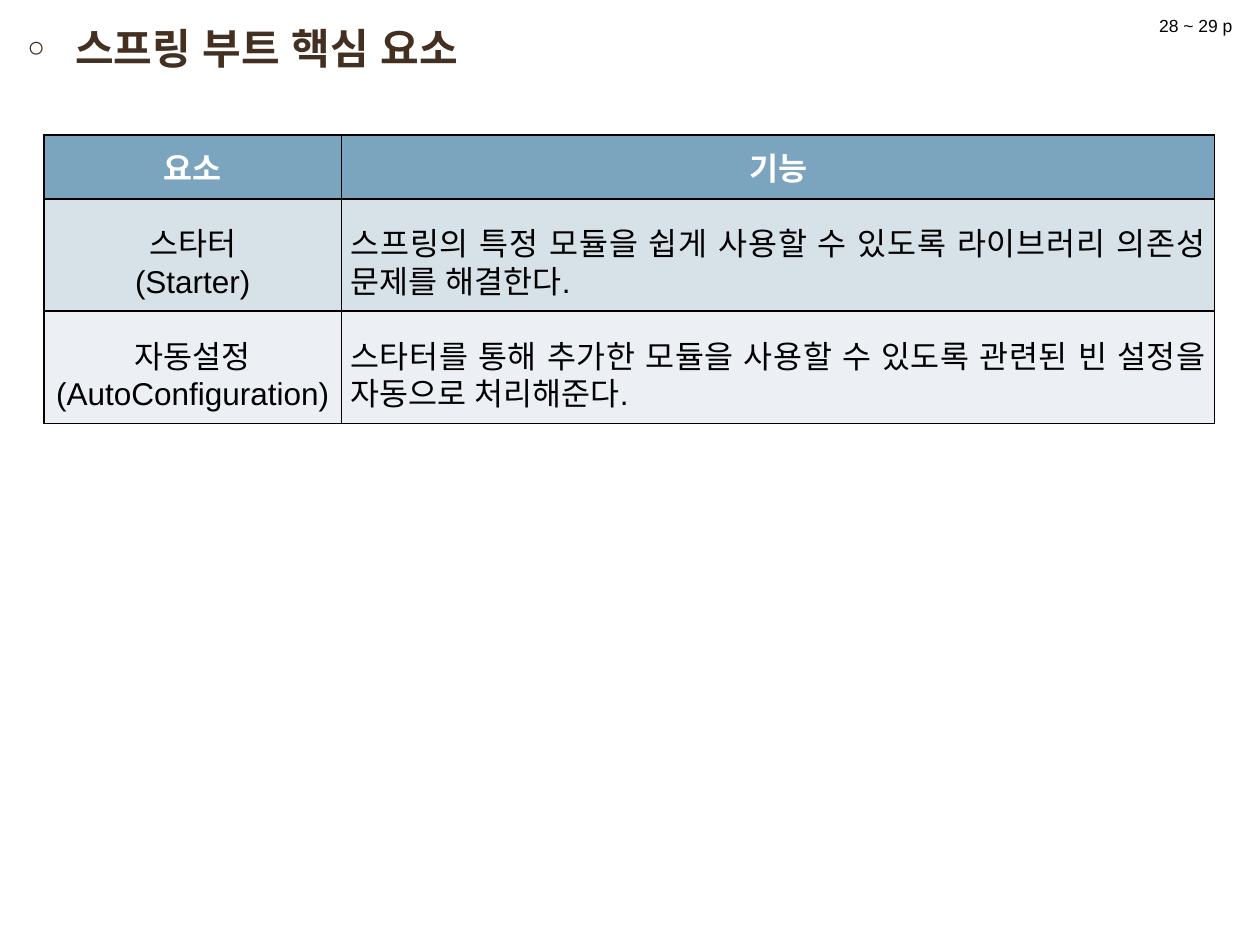
from lxml.etree import SubElement
from pptx import Presentation
from pptx.dml.color import RGBColor
from pptx.enum.shapes import MSO_SHAPE as Shape
from pptx.enum.text import MSO_ANCHOR as Anchor, PP_ALIGN as Align
from pptx.oxml import parse_xml
from pptx.oxml.ns import nsdecls, qn
from pptx.util import Inches, Pt

COLORS = {
    "white": "FFFFFF",
    "black": "000000",
    "title": "433021",
    "header": "7BA5BE",
    "odd_row": "D7E1E8",
    "even_row": "ECF0F4",
}
FONT = "Arial"
COLUMN_WIDTHS = (2.36, 6.93)
ROW_HEIGHTS = (0.51, 0.89, 0.89)
ROW_FILLS = ("header", "odd_row", "even_row")
ELEMENTS = (
    ("요소", "기능"),
    ("스타터\n(Starter)",
     "스프링의 특정 모듈을 쉽게 사용할 수 있도록 라이브러리 의존성 문제를 해결한다."),
    ("자동설정\n(AutoConfiguration)",
     "스타터를 통해 추가한 모듈을 사용할 수 있도록 관련된 빈 설정을 자동으로 처리해준다."),
)


def rgb(name):
    return RGBColor.from_string(COLORS[name])


def write(frame, text, size=18, color="black", bold=False, align=Align.LEFT,
          line_spacing=None, space_before=None, hanging=None, bullet=None):
    for index, line in enumerate(text.split("\n")):
        paragraph = frame.add_paragraph() if index else frame.paragraphs[0]
        paragraph.alignment = align
        paragraph.line_spacing = line_spacing
        paragraph.space_before = space_before
        run = paragraph.add_run()
        run.text = line
        run.font.size = Pt(size)
        run.font.bold = bold
        run.font.color.rgb = rgb(color)
        run.font.name = FONT
        SubElement(run._r.get_or_add_rPr(), qn("a:ea"), typeface=FONT)
        properties = paragraph._p.get_or_add_pPr()
        if hanging:
            properties.set("marL", str(Inches(hanging)))
            properties.set("indent", str(-Inches(hanging)))
        if bullet:
            SubElement(properties, qn("a:buSzPct"), val="70000")
            SubElement(properties, qn("a:buFont"), typeface=FONT)
            SubElement(properties, qn("a:buChar"), char=bullet)


def outline(cell):
    properties = cell._tc.get_or_add_tcPr()
    for index, side in enumerate("LRTB"):
        border = parse_xml(
            f'<a:ln{side} {nsdecls("a")} w="{Pt(1)}"><a:solidFill>'
            f'<a:srgbClr val="{COLORS["black"]}"/></a:solidFill></a:ln{side}>')
        properties.insert(index, border)


def add_title(slide, left, top, width, height):
    title = slide.shapes.add_textbox(left, top, width, height)
    title.text_frame.word_wrap = True
    write(title.text_frame, "스프링 부트 핵심 요소", size=24, color="title",
          bold=True, space_before=Pt(4.8), hanging=0.38, bullet="○")


def add_elements_table(slide, left, top, width, height):
    table = slide.shapes.add_table(
        len(ROW_HEIGHTS), len(COLUMN_WIDTHS), left, top, width, height).table
    for column, share in zip(table.columns, COLUMN_WIDTHS):
        column.width = int(width * share / sum(COLUMN_WIDTHS))
    for row, share in zip(table.rows, ROW_HEIGHTS):
        row.height = int(height * share / sum(ROW_HEIGHTS))
    for r, texts in enumerate(ELEMENTS):
        is_header = r == 0
        for c, text in enumerate(texts):
            cell = table.cell(r, c)
            cell.margin_left = cell.margin_right = Inches(0.07)
            cell.margin_top, cell.margin_bottom = Inches(0.12), 0
            cell.vertical_anchor = Anchor.TOP if is_header else Anchor.MIDDLE
            cell.fill.solid()
            cell.fill.fore_color.rgb = rgb(ROW_FILLS[r])
            outline(cell)
            write(cell.text_frame, text,
                  color="white" if is_header else "black", bold=is_header,
                  align=Align.CENTER if is_header or c == 0 else Align.JUSTIFY,
                  line_spacing=1.07,
                  hanging=0.14 if (r, c) == (2, 0) else None)


def add_page_reference(slide, left, top, width, height):
    reference = slide.shapes.add_shape(Shape.RECTANGLE, left, top, width, height)
    reference.shadow.inherit = False
    reference.fill.solid()
    reference.fill.fore_color.rgb = rgb("white")
    reference.line.color.rgb = rgb("white")
    reference.line.width = Pt(1.25)
    reference.text_frame.word_wrap = True
    reference.text_frame.vertical_anchor = Anchor.MIDDLE
    write(reference.text_frame, "28 ~ 29 p", size=10, align=Align.CENTER)


def main():
    deck = Presentation()
    deck.slide_width, deck.slide_height = Inches(10), Inches(7.5)
    slide = deck.slides.add_slide(deck.slide_layouts[6])
    add_title(slide, Inches(0.12), Inches(0.13), Inches(9.76), Inches(7.24))
    add_elements_table(slide, Inches(0.35), Inches(1.07), Inches(9.29),
                       Inches(sum(ROW_HEIGHTS)))
    add_page_reference(slide, Inches(9.02), Inches(0.05), Inches(0.94), Inches(0.31))
    deck.save("out.pptx")


if __name__ == "__main__":
    main()
